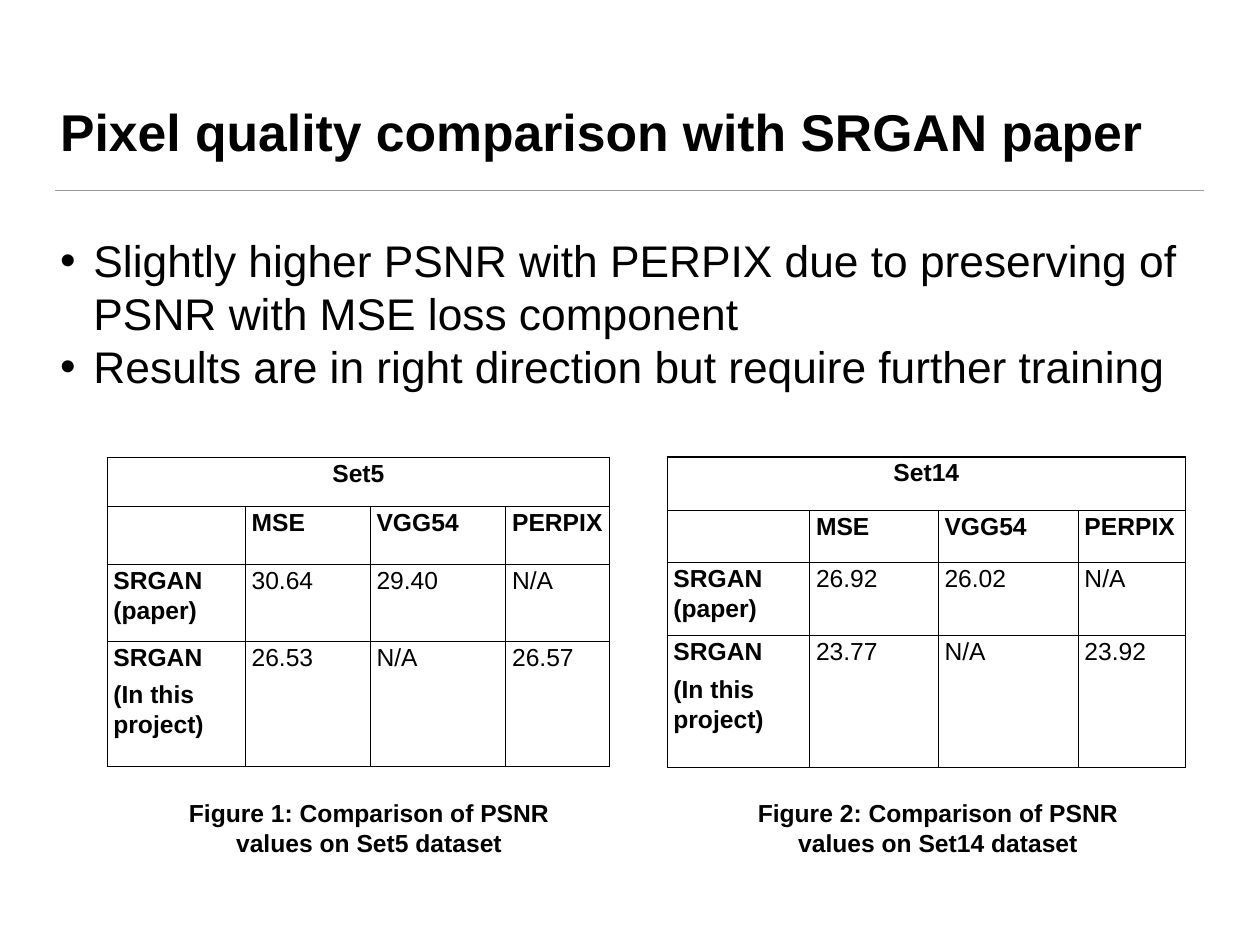
from dataclasses import dataclass

from lxml.etree import SubElement
from pptx import Presentation
from pptx.dml.color import RGBColor
from pptx.enum.shapes import MSO_CONNECTOR
from pptx.enum.text import MSO_ANCHOR, MSO_AUTO_SIZE, PP_ALIGN
from pptx.oxml.ns import qn
from pptx.util import Inches, Pt


@dataclass(frozen=True)
class Theme:
    """Colours, font and type sizes of the slide."""
    ink: str = "000000"
    rule: str = "9A9A9A"
    font: str = "Arial"
    title: int = 42
    body: int = 36
    small: int = 20


THEME = Theme()
LEFT, WIDTH = 0.62, 12.97


def write(frame, text, size=THEME.small, bold=False, align=PP_ALIGN.LEFT,
          last=None, lead=None, after=0):
    """Write each line of text as a paragraph, the last one aligned by last."""
    lines = text.split("\n")
    for i, line in enumerate(lines):
        para = frame.paragraphs[0] if i == 0 else frame.add_paragraph()
        para.alignment = last if last is not None and i and i == len(lines) - 1 else align
        para.space_before, para.space_after = Pt(0), Pt(after)
        para.line_spacing = lead
        run = para.add_run()
        run.text = line
        run.font.name, run.font.size, run.font.bold = THEME.font, Pt(size), bold
        run.font.color.rgb = RGBColor.from_string(THEME.ink)


def place(shape, left, top, width, height, anchor):
    """Move a text shape, set its frame and return the frame."""
    shape.left, shape.top = Inches(left), Inches(top)
    shape.width, shape.height = Inches(width), Inches(height)
    frame = shape.text_frame
    frame.word_wrap, frame.auto_size = True, MSO_AUTO_SIZE.NONE
    frame.vertical_anchor = anchor
    frame.margin_left = frame.margin_right = Inches(0.06)
    frame.margin_top = frame.margin_bottom = Inches(0.06)
    return frame


def add_rule(slide, top):
    """Draw the thin line under the title."""
    line = slide.shapes.add_connector(
        MSO_CONNECTOR.STRAIGHT, Inches(LEFT), Inches(top),
        Inches(LEFT + WIDTH), Inches(top))
    line.line.color.rgb = RGBColor.from_string(THEME.rule)
    line.line.width = Pt(1)
    SubElement(line._element.spPr, qn("a:effectLst"))


def frame_cell(cell):
    """Give a cell thin borders, no fill and narrow margins."""
    props = cell._tc.get_or_add_tcPr()
    for side in ("lnL", "lnR", "lnT", "lnB"):
        edge = SubElement(props, qn(f"a:{side}"), w=str(Pt(1)))
        fill = SubElement(edge, qn("a:solidFill"))
        SubElement(fill, qn("a:srgbClr"), val=THEME.ink)
    cell.fill.background()
    cell.margin_left = cell.margin_right = Inches(0.07)
    cell.margin_top = cell.margin_bottom = 0


def add_scores(slide, name, left, top, cols, rows, paper, ours):
    """Add the table of PSNR values for one data set."""
    data = [[name, "", "", ""],
            ["", "MSE", "VGG54", "PERPIX"],
            ["SRGAN (paper)", *paper],
            ["SRGAN\n(In this project)", *ours]]
    table = slide.shapes.add_table(
        len(rows), len(cols), Inches(left), Inches(top),
        Inches(sum(cols)), Inches(sum(rows))).table
    table.first_row = table.horz_banding = False
    for col, width in zip(table.columns, cols):
        col.width = Inches(width)
    for row, height in zip(table.rows, rows):
        row.height = Inches(height)
    table.cell(0, 0).merge(table.cell(0, len(cols) - 1))
    for r, line in enumerate(data):
        for c, text in enumerate(line):
            cell = table.cell(r, c)
            frame_cell(cell)
            if text:
                write(cell.text_frame, text, bold=r < 2 or c == 0,
                      align=PP_ALIGN.JUSTIFY if r else PP_ALIGN.CENTER,
                      last=PP_ALIGN.LEFT, lead=1.1, after=6)


def add_caption(slide, text, left):
    """Add a centred caption below a table."""
    box = slide.shapes.add_textbox(0, 0, 0, 0)
    frame = place(box, left, 8.95, 4.49, 0.79, MSO_ANCHOR.MIDDLE)
    write(frame, text, bold=True, align=PP_ALIGN.CENTER)


def main():
    """Build the slide and save it."""
    deck = Presentation()
    deck.slide_width, deck.slide_height = Inches(14.22), Inches(10.67)
    slide = deck.slides.add_slide(deck.slide_layouts[1])
    add_rule(slide, 2.15)
    title = place(slide.shapes.title, LEFT, 0.36, WIDTH, 1.53, MSO_ANCHOR.BOTTOM)
    write(title, "Pixel quality comparison with SRGAN paper",
          size=THEME.title, bold=True)
    body = place(slide.placeholders[1], LEFT, 2.57, WIDTH, 1.93, MSO_ANCHOR.MIDDLE)
    write(body, "Slightly higher PSNR with PERPIX due to preserving of "
          "PSNR with MSE loss component\n"
          "Results are in right direction but require further training",
          size=THEME.body)
    add_scores(slide, "Set5", 1.21, 5.17,
               (1.56, 1.41, 1.53, 1.17), (0.55, 0.65, 0.87, 1.42),
               ("30.64", "29.40", "N/A"), ("26.53", "N/A", "26.57"))
    add_scores(slide, "Set14", 7.53, 5.16,
               (1.61, 1.45, 1.58, 1.21), (0.6, 0.59, 0.83, 1.49),
               ("26.92", "26.02", "N/A"), ("23.77", "N/A", "23.92"))
    add_caption(slide, "Figure 1: Comparison of PSNR values on Set5 dataset", 1.92)
    add_caption(slide, "Figure 2: Comparison of PSNR values on Set14 dataset", 8.34)
    deck.save("out.pptx")


if __name__ == "__main__":
    main()
